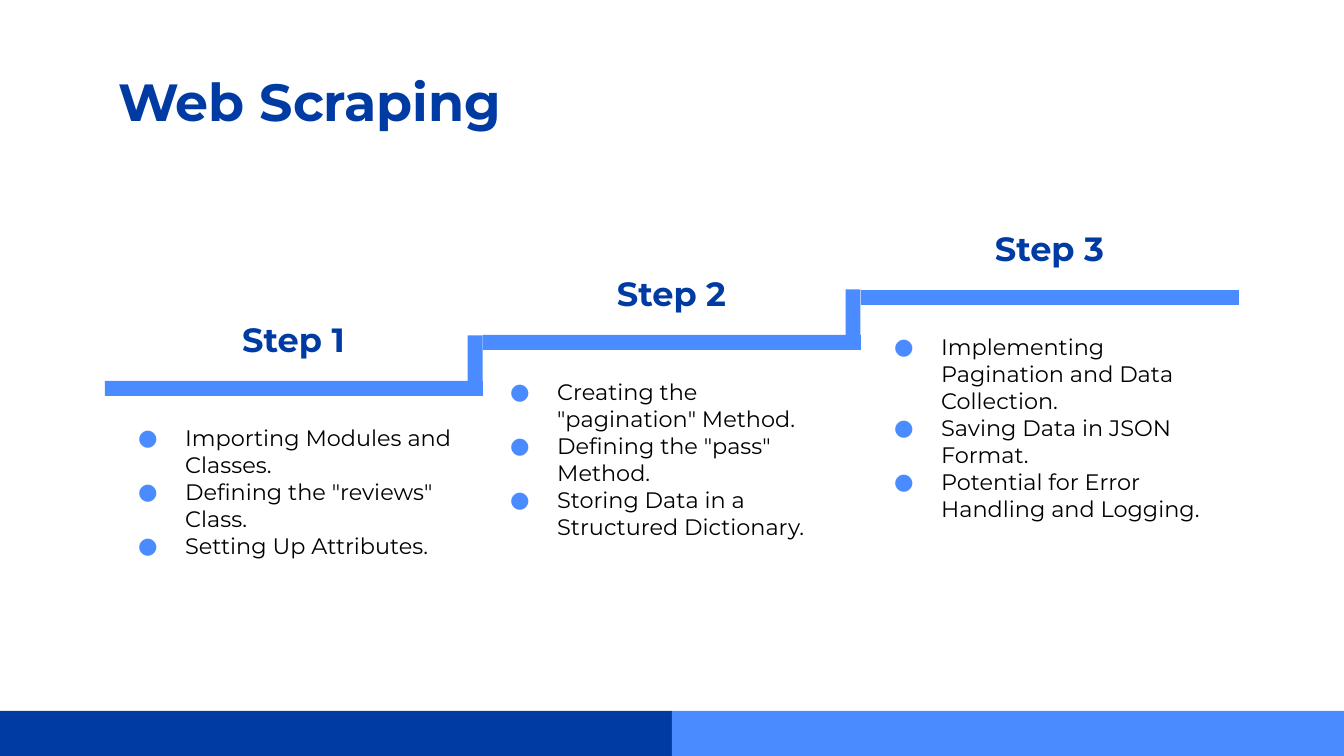
from dataclasses import dataclass

from lxml import etree
from pptx import Presentation
from pptx.dml.color import RGBColor
from pptx.enum.shapes import MSO_SHAPE
from pptx.enum.text import MSO_ANCHOR, PP_ALIGN
from pptx.oxml.ns import qn
from pptx.util import Pt

RECT = MSO_SHAPE.RECTANGLE
TOP = MSO_ANCHOR.TOP
LEFT, CENTER = PP_ALIGN.LEFT, PP_ALIGN.CENTER
WIDE, HIGH = 1344, 756
SCALE = 9144000 / WIDE


def px(num):
    """Turn px into EMU."""
    return round(num * SCALE)


@dataclass
class Theme:
    """Colours, font and type sizes."""
    dark: str = "003BA3"
    light: str = "4A8CFF"
    ink: str = "000000"
    font: str = "Montserrat"
    title: int = 28
    head: int = 18
    body: int = 12


class Deck:
    """Draws elements on the current slide in one style."""

    def __init__(self, theme):
        """Start a deck with one blank slide."""
        self.theme = theme
        self.prs = Presentation()
        self.prs.slide_width, self.prs.slide_height = px(WIDE), px(HIGH)
        self.slide = self.prs.slides.add_slide(self.prs.slide_layouts[6])

    def bar(self, x, y, w, h, color, turn=0):
        """Draw a plain filled bar."""
        bar = self.slide.shapes.add_shape(RECT, px(x), px(y), px(w), px(h))
        bar.shadow.inherit = False
        bar.fill.solid()
        bar.fill.fore_color.rgb = RGBColor.from_string(color)
        bar.line.fill.background()
        bar.rotation = turn

    def text(self, x, y, w, h, lines, size, color, bold=False, align=LEFT, after=0):
        """Write a text box and return its paragraphs."""
        frame = self.slide.shapes.add_textbox(px(x), px(y), px(w), px(h)).text_frame
        pad = Pt(7.2)
        form = {"word_wrap": True, "vertical_anchor": TOP,
                "margin_left": pad, "margin_right": pad,
                "margin_top": pad, "margin_bottom": pad}
        for name, value in form.items():
            setattr(frame, name, value)
        frame.text = "\n".join(lines)
        for para in frame.paragraphs:
            para.alignment = align
            para.space_after = Pt(after)
            font = para.runs[0].font
            for name, value in {"name": self.theme.font, "size": Pt(size), "bold": bold}.items():
                setattr(font, name, value)
            font.color.rgb = RGBColor.from_string(color)
        return frame.paragraphs

    def items(self, x, y, w, h, lines):
        """Write a bulleted list."""
        for para in self.text(x, y, w, h, lines, self.theme.body, self.theme.ink):
            props = para._p.get_or_add_pPr()
            for name, value in {"marL": px(67), "indent": px(-47)}.items():
                props.set(name, str(value))
            tint = etree.SubElement(props, qn("a:buClr"))
            etree.SubElement(tint, qn("a:srgbClr")).set("val", self.theme.light)
            etree.SubElement(props, qn("a:buFont")).set("typeface", self.theme.font)
            etree.SubElement(props, qn("a:buChar")).set("char", "●")


STEPS = [
    (381, 0, ["Importing Modules and Classes.",
              'Defining the "reviews" Class.',
              "Setting Up Attributes."]),
    (335, -6, ['Creating the "pagination" Method.',
               'Defining the "pass" Method.',
               "Storing Data in a Structured Dictionary."]),
    (290, 0, ["Implementing Pagination and Data Collection.",
              "Saving Data in JSON Format.",
              "Potential for Error Handling and Logging."]),
]


def main():
    """Build and save the slide."""
    theme = Theme()
    deck = Deck(theme)
    left, span, thick, rise = 105, 378, 15, 60
    deck.text(left, 56, 1133, 137, ["Web Scraping"], theme.title, theme.dark, True)
    last = None
    for i, (y, shift, lines) in enumerate(STEPS):
        x = left + i * span
        deck.bar(x, y, span, thick, theme.light)
        if last:
            deck.bar(x - 38, (last + y) // 2, rise, thick, theme.light, 90)
        deck.text(x + 75, y - 75, 227, 60, [f"Step {i + 1}"],
                  theme.head, theme.dark, True, CENTER, 16)
        deck.items(x + shift, y + 30, span, 211, lines)
        last = y
    half = WIDE // 2
    for i, color in enumerate((theme.dark, theme.light)):
        deck.bar(i * half, 711, half, 45, color)
    deck.prs.save("out.pptx")


if __name__ == "__main__":
    main()
